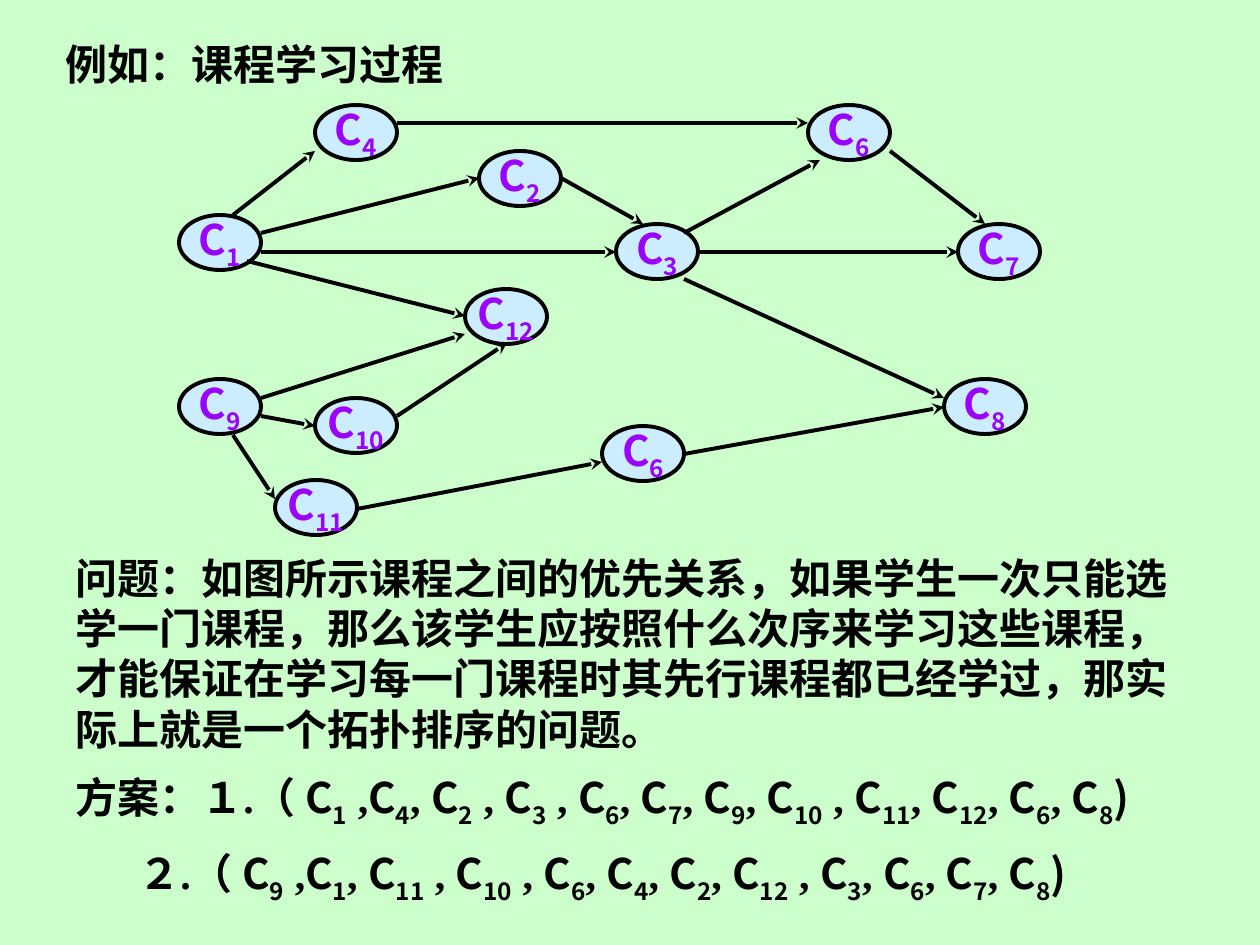
from itertools import groupby

from lxml import etree
from pptx import Presentation
from pptx.dml.color import RGBColor
from pptx.enum.shapes import MSO_CONNECTOR, MSO_SHAPE
from pptx.enum.text import MSO_ANCHOR, MSO_AUTO_SIZE, PP_ALIGN
from pptx.oxml.ns import qn
from pptx.util import Emu, Pt

ELLIPSE = MSO_SHAPE.OVAL
STRAIGHT = MSO_CONNECTOR.STRAIGHT
MIDDLE = MSO_ANCHOR.MIDDLE
FIT_SHAPE = MSO_AUTO_SIZE.SHAPE_TO_FIT_TEXT
CENTER = PP_ALIGN.CENTER

PX_PER_INCH = 126
SERIF = "Times New Roman"
SANS = "Noto Sans CJK SC"
BLACK = "000000"
PURPLE = "9900FF"
NODE_W, NODE_H = 82, 55

# Course number, left, top
COURSES = [
    (1, 179, 215), (4, 315, 105), (2, 479, 151), (3, 616, 224),
    (6, 808, 105), (7, 958, 224), (12, 465, 289), (9, 179, 379),
    (10, 315, 398), (11, 275, 480), (6, 602, 426), (8, 944, 379),
]

# Start x, y, end x, y
ARROWS = [
    (233, 215, 315, 151), (261, 233, 479, 178), (261, 252, 616, 252),
    (247, 261, 465, 316), (561, 178, 643, 224), (684, 233, 820, 160),
    (698, 252, 958, 252), (684, 279, 944, 398), (890, 151, 985, 224),
    (261, 416, 315, 426), (233, 435, 275, 499), (261, 398, 465, 334),
    (397, 416, 507, 343), (357, 509, 602, 462), (684, 454, 944, 407),
    (397, 123, 808, 123),
]

QUESTION = (
    "问题：如图所示课程之间的优先关系，如果学生一次只能选学一门课程，"
    "那么该学生应按照什么次序来学习这些课程，才能保证在学习每一门课程时"
    "其先行课程都已经学过，那实际上就是一个拓扑排序的问题。"
)
PLANS = [
    ("方案：１.（ ", "1 ,4, 2 , 3 , 6, 7, 9, 10 , 11, 12, 6, 8"),
    ("\t２.（ ", "9 ,1, 11 , 10 , 6, 4, 2, 12 , 3, 6, 7, 8"),
]


def px(n):
    return Emu(round(n * 914400 / PX_PER_INCH))


def rgb(color):
    return RGBColor.from_string(color)


def add_text(p, text, font=SERIF, color=BLACK, size=24, bold=True, sub=False):
    r = p.add_run()
    r.text = text
    r.font.name = font
    r.font.size = Pt(size)
    r.font.bold = bold
    r.font.color.rgb = rgb(color)
    if sub:
        r._r.get_or_add_rPr().set("baseline", "-25000")


def add_course(p, number, color=BLACK):
    add_text(p, "C", font=SANS, color=color)
    add_text(p, str(number), font=SANS, color=color, sub=True)


def add_plan(p, label, order):
    """Write a course order, each number becoming C with a subscript."""
    add_text(p, label)
    for is_number, chars in groupby(order, str.isdigit):
        part = "".join(chars)
        if is_number:
            add_course(p, part)
        else:
            add_text(p, part)
    add_text(p, ")", font=SANS)


class Board:
    line_color = BLACK
    line_width = Pt(2.25)
    node_fill = "CCECFF"
    space_before = Pt(10.4)

    def __init__(self, slide, background):
        self.slide = slide
        fill = slide.background.fill
        fill.solid()
        fill.fore_color.rgb = rgb(background)

    def text_box(self, x, y, w, h):
        tf = self.slide.shapes.add_textbox(px(x), px(y), px(w), px(h)).text_frame
        tf.word_wrap = True
        tf.auto_size = FIT_SHAPE
        return tf

    def paragraph(self, tf):
        p = tf.add_paragraph()
        p.space_before = self.space_before
        return p

    def group(self):
        return self.slide.shapes.add_group_shape()

    def stroke(self, line):
        line.color.rgb = rgb(self.line_color)
        line.width = self.line_width

    def node(self, group, number, x, y):
        sp = group.shapes.add_shape(ELLIPSE, px(x), px(y), px(NODE_W), px(NODE_H))
        sp.shadow.inherit = False
        sp.fill.solid()
        sp.fill.fore_color.rgb = rgb(self.node_fill)
        self.stroke(sp.line)
        tf = sp.text_frame
        tf.word_wrap = False
        tf.vertical_anchor = MIDDLE
        p = tf.paragraphs[0]
        p.alignment = CENTER
        add_course(p, number, PURPLE)

    def arrow(self, group, x1, y1, x2, y2):
        line = group.shapes.add_connector(STRAIGHT, px(x1), px(y1), px(x2), px(y2))
        self.stroke(line.line)
        etree.SubElement(line.line._get_or_add_ln(), qn("a:tailEnd"), type="stealth")
        etree.SubElement(line._element.spPr, qn("a:effectLst"))


def main():
    prs = Presentation()
    prs.slide_width, prs.slide_height = px(1260), px(945)
    s = Board(prs.slides.add_slide(prs.slide_layouts[6]), "CCFFCC")

    title = s.text_box(53, 32, 683, 63)
    add_text(title.paragraphs[0], "例如：课程学习过程")

    graph = s.group()
    for number, x, y in COURSES:
        s.node(graph, number, x, y)
    for ends in ARROWS:
        s.arrow(graph, *ends)

    body = s.text_box(63, 546, 1124, 365)
    add_text(body.paragraphs[0], QUESTION)
    for label, order in PLANS:
        add_plan(s.paragraph(body), label, order)

    prs.save("out.pptx")


if __name__ == "__main__":
    main()
